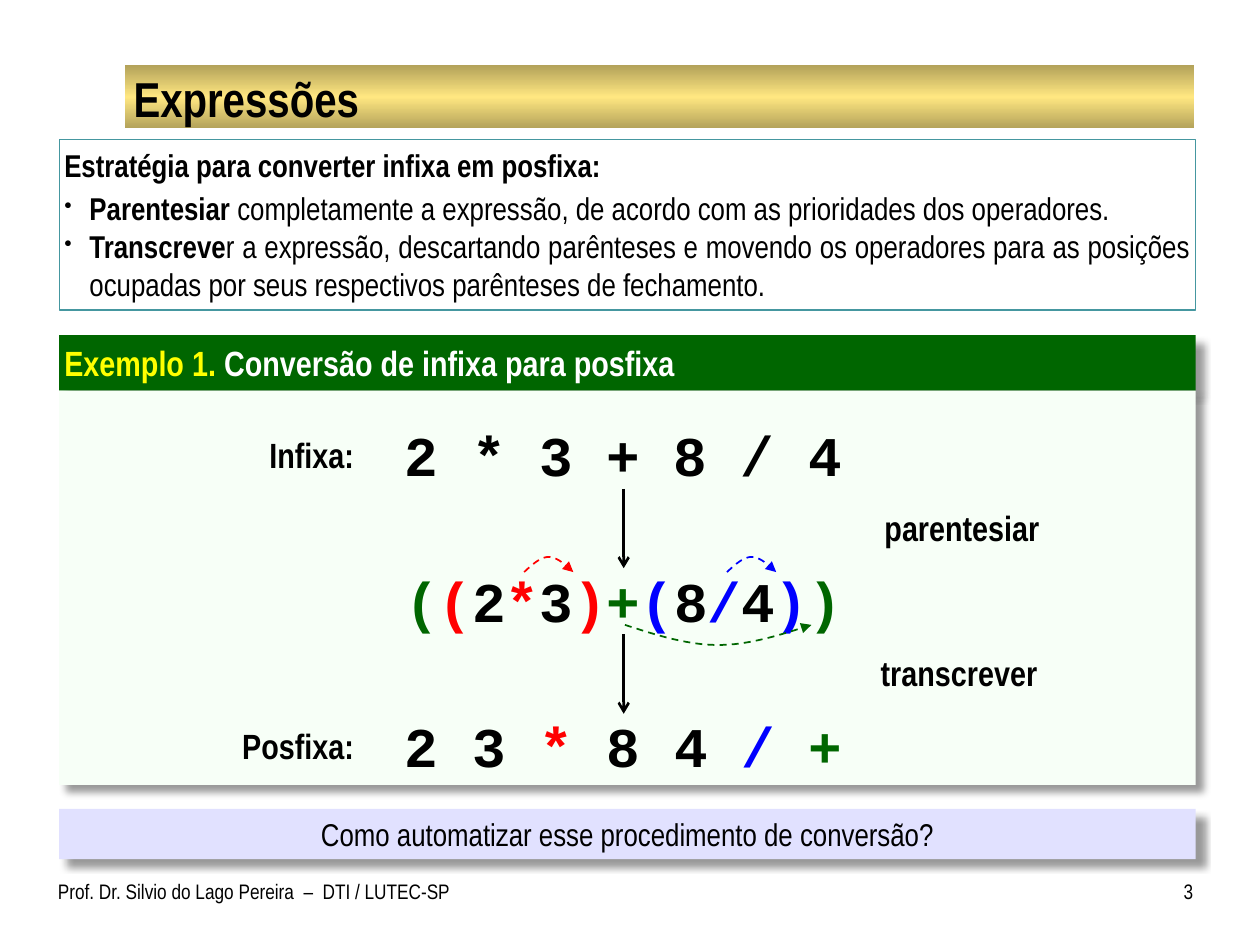
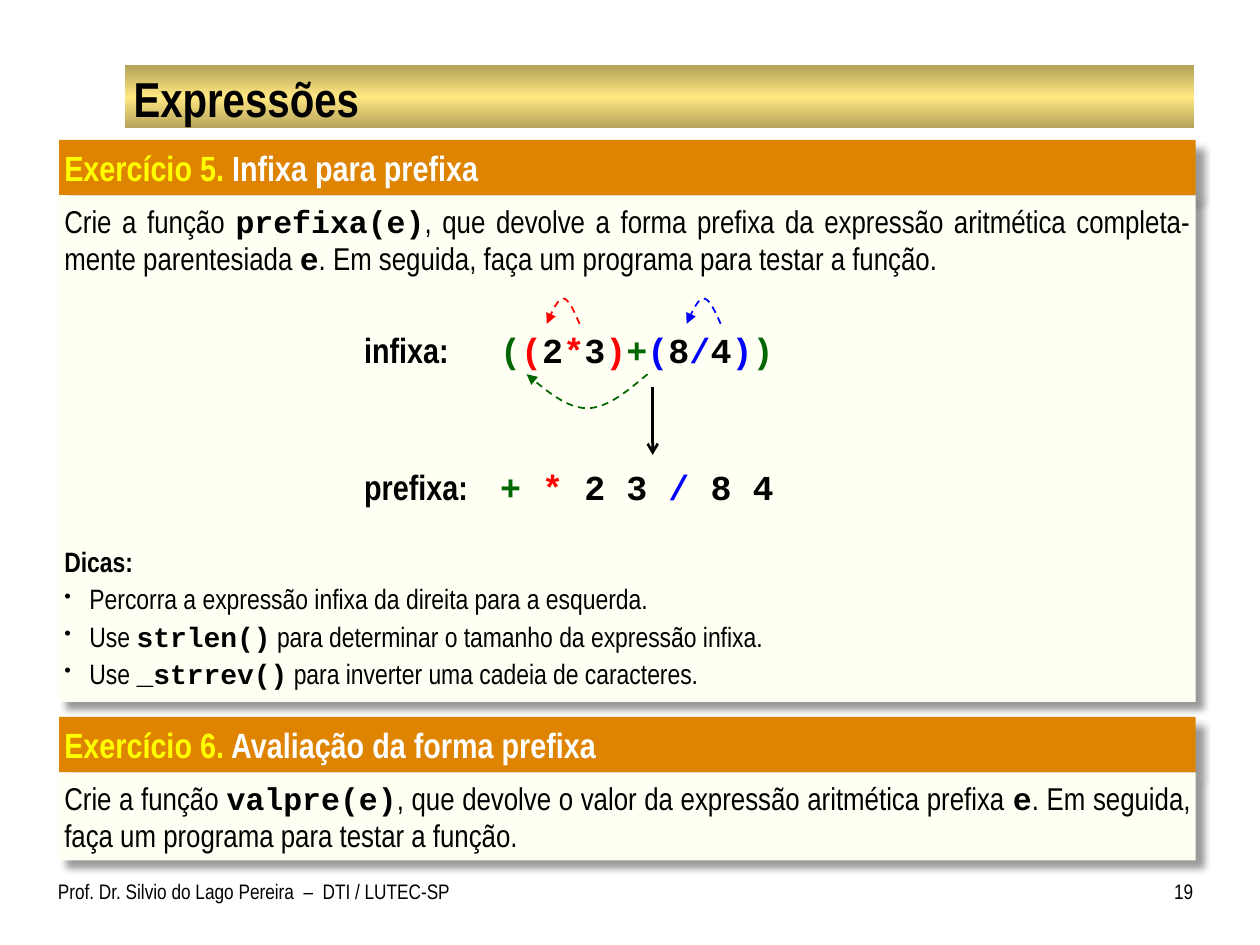
from dataclasses import dataclass
from typing import Any, Optional, Sequence

from lxml.etree import SubElement
from pptx import Presentation
from pptx.dml.color import RGBColor
from pptx.enum.dml import MSO_LINE
from pptx.enum.shapes import MSO_CONNECTOR, MSO_SHAPE
from pptx.enum.text import MSO_ANCHOR, MSO_AUTO_SIZE, PP_ALIGN
from pptx.oxml.ns import qn
from pptx.util import Inches, Pt

# Shared style
NARROW, MONO = "Arial Narrow", "Courier New"
BLACK, WHITE, YELLOW = "000000", "FFFFFF", "FFFF00"
RED, GREEN, BLUE = "FF0000", "006600", "0000FF"
ORANGE, CREAM, MINT, LILAC, TEAL = "DE8400", "FFFFF3", "F7FFF7", "E1E1FF", "4597A0"
GOLD_STOPS = ((0, "B3A25A"), (50, "FFE781"), (100, "B3A25A"))
LEFT, WIDTH, HEADER_HEIGHT = 0.47, 9.02, 0.44
PANEL_INSETS = (0.04, 0.05, 0.04, 0.05)
NO_INSETS = (0, 0, 0, 0)
FOOTER = "Prof. Dr. Silvio do Lago Pereira  –  DTI / LUTEC-SP"


@dataclass(frozen=True)
class Span:
    text: str
    color: str = BLACK
    bold: bool = False
    font: str = NARROW


@dataclass(frozen=True)
class Line:
    spans: Sequence[Span]
    size: float = 18
    align: PP_ALIGN = PP_ALIGN.LEFT
    before: float = 0
    bullet: bool = False


@dataclass(frozen=True)
class Box:
    left: float
    top: float
    width: float
    height: float

    def lengths(self) -> tuple:
        return tuple(Inches(value) for value in (self.left, self.top, self.width, self.height))


@dataclass(frozen=True)
class Arc:
    """A dashed move arrow; a negative rise bends it downwards."""
    start: float
    end: float
    base: float
    rise: float
    color: str


def apply(target: Any, values: dict) -> None:
    for name, value in values.items():
        setattr(target, name, value)


def rgb(color: str) -> RGBColor:
    return RGBColor.from_string(color)


def code(text: str, color: str = BLACK) -> Span:
    return Span(text, color, True, MONO)


def write(shape: Any, lines: Sequence[Line], insets: tuple = NO_INSETS,
          anchor: MSO_ANCHOR = MSO_ANCHOR.TOP) -> None:
    frame = shape.text_frame
    left, top, right, bottom = (Inches(inset) for inset in insets)
    apply(frame, {"word_wrap": True, "auto_size": MSO_AUTO_SIZE.NONE,
                  "vertical_anchor": anchor, "margin_left": left, "margin_top": top,
                  "margin_right": right, "margin_bottom": bottom})
    for index, line in enumerate(lines):
        paragraph = frame.add_paragraph() if index else frame.paragraphs[0]
        apply(paragraph, {"alignment": line.align, "space_before": Pt(line.before)})
        if line.bullet:
            properties = paragraph._p.get_or_add_pPr()
            properties.set("marL", str(Inches(0.2)))
            properties.set("indent", str(-Inches(0.2)))
            SubElement(properties, qn("a:buSzPct")).set("val", "70000")
            SubElement(properties, qn("a:buChar")).set("char", "•")
        for span in line.spans:
            run = paragraph.add_run()
            run.text = span.text
            apply(run.font, {"name": span.font, "size": Pt(line.size), "bold": span.bold})
            run.font.color.rgb = rgb(span.color)


def add_text(slide: Any, box: Box, line: Line, insets: tuple = NO_INSETS,
             anchor: MSO_ANCHOR = MSO_ANCHOR.MIDDLE) -> None:
    write(slide.shapes.add_textbox(*box.lengths()), [line], insets, anchor)


def add_rectangle(slide: Any, box: Box, fill: Optional[str] = None,
                  outline: Optional[str] = None, shadow: bool = False) -> Any:
    shape = slide.shapes.add_shape(MSO_SHAPE.RECTANGLE, *box.lengths())
    shape.shadow.inherit = False
    if fill:
        shape.fill.solid()
        shape.fill.fore_color.rgb = rgb(fill)
    else:
        shape.fill.background()
    if outline:
        shape.line.color.rgb = rgb(outline)
        shape.line.width = Pt(0.75)
    else:
        shape.line.fill.background()
    if shadow:
        effects = shape._element.spPr.find(qn("a:effectLst"))
        outer = SubElement(effects, qn("a:outerShdw"), blurRad=str(Pt(4)), dist=str(Pt(6)),
                           dir=str(45 * 60000), algn="tl", rotWithShape="0")
        tint = SubElement(outer, qn("a:srgbClr"), val=BLACK)
        SubElement(tint, qn("a:alpha"), val="40000")
    return shape


def add_panel(slide: Any, top: float, height: float, label: str, heading: str,
              header_fill: str, body_fill: str, lines: Sequence[Line] = ()) -> None:
    header = add_rectangle(slide, Box(LEFT, top, WIDTH, HEADER_HEIGHT), header_fill, shadow=True)
    write(header, [Line([Span(label, YELLOW, True), Span(" " + heading, WHITE, True)], 20)],
          PANEL_INSETS)
    body = add_rectangle(slide, Box(LEFT, top + HEADER_HEIGHT, WIDTH, height - HEADER_HEIGHT),
                         body_fill, shadow=True)
    write(body, lines, PANEL_INSETS)


def style_line(shape: Any, color: str, width: float, head: str) -> None:
    shape.line.color.rgb = rgb(color)
    shape.line.width = Pt(width)
    SubElement(shape.line._get_or_add_ln(), qn("a:tailEnd")).set("type", head)


def add_down_arrow(slide: Any, x: float, top: float, bottom: float) -> None:
    connector = slide.shapes.add_connector(
        MSO_CONNECTOR.STRAIGHT, Inches(x), Inches(top), Inches(x), Inches(bottom))
    style_line(connector, BLACK, 1.5, "arrow")
    SubElement(connector._element.spPr, qn("a:effectLst"))


def add_arc(slide: Any, arc: Arc, steps: int = 24) -> None:
    points = []
    for step in range(steps + 1):
        along = step / steps
        climb = 1 - abs(2 * along - 1)
        height = arc.rise * (1.5 * climb - 0.5 * climb ** 3)
        points.append((Inches(arc.start + (arc.end - arc.start) * along),
                       Inches(arc.base - height)))
    builder = slide.shapes.build_freeform(*points[0])
    builder.add_line_segments(points[1:], close=False)
    shape = builder.convert_to_shape()
    shape.shadow.inherit = False
    shape.fill.background()
    shape.line.dash_style = MSO_LINE.DASH
    style_line(shape, arc.color, 1, "triangle")


def add_slide(presentation: Any, number: int) -> Any:
    slide = presentation.slides.add_slide(presentation.slide_layouts[5])
    # Gold band behind the title
    band = add_rectangle(slide, Box(0.99, 0.52, 8.49, 0.5), GOLD_STOPS[0][1])
    band.fill.gradient()
    band.fill.gradient_angle = 270
    stops = band._element.spPr.find(qn("a:gradFill")).find(qn("a:gsLst"))
    for stop in list(stops):
        stops.remove(stop)
    for position, color in GOLD_STOPS:
        stop = SubElement(stops, qn("a:gs"), pos=str(position * 1000))
        SubElement(stop, qn("a:srgbClr"), val=color)
    slide.shapes._spTree.insert(2, band._element)
    # Title
    title = slide.shapes.title
    left, top, width, height = Box(1, 0.54, 8.47, 0.47).lengths()
    apply(title, {"left": left, "top": top, "width": width, "height": height})
    write(title, [Line([Span("Expressões", bold=True)], 28)], (0.06, 0.01, 0.06, 0.01),
          MSO_ANCHOR.MIDDLE)
    # Footer and slide number
    add_text(slide, Box(0.46, 6.92, 3.27, 0.42), Line([Span(FOOTER)], 12),
             (0, 0.05, 0.1, 0.05), MSO_ANCHOR.TOP)
    add_text(slide, Box(9.08, 6.92, 0.39, 0.42),
             Line([Span(str(number))], 12, PP_ALIGN.RIGHT), (0.1, 0.05, 0, 0.05), MSO_ANCHOR.TOP)
    return slide


# Expression whose operators share a colour with their parentheses
PARENTHESIZED = [code(*part) for part in (
    ("(", GREEN), ("(", RED), ("2",), ("*", RED), ("3",), (")", RED), ("+", GREEN),
    ("(", BLUE), ("8",), ("/", BLUE), ("4",), (")", BLUE), (")", GREEN))]
POSTFIX = [code("2 3 "), code("* ", RED), code("8 4 "), code("/ ", BLUE), code("+", GREEN)]
PREFIX = [code("+ ", GREEN), code("* ", RED), code("2 3 "), code("/ ", BLUE), code("8 4")]


def build_postfix_slide(presentation: Any) -> None:
    slide = add_slide(presentation, 3)
    # Strategy
    justify = PP_ALIGN.JUSTIFY
    strategy = add_rectangle(slide, Box(LEFT, 1.11, WIDTH, 1.35), outline=TEAL)
    write(strategy, [
        Line([Span("Estratégia para converter infixa em posfixa:", bold=True)], align=justify),
        Line([Span("Parentesiar", bold=True),
              Span(" completamente a expressão, de acordo com as prioridades dos operadores.")],
             align=justify, before=3, bullet=True),
        Line([Span("Transcreve", bold=True),
              Span("r a expressão, descartando parênteses e movendo os operadores para as "
                   "posições ocupadas por seus respectivos parênteses de fechamento.")],
             align=justify, bullet=True),
    ], PANEL_INSETS)
    # Worked example
    add_panel(slide, 2.66, 3.57, "Exemplo 1.", "Conversão de infixa para posfixa", GREEN, MINT)
    first_row, row_step = 3.41, 1.155
    rows = (("Infixa:", [code("2 * 3 + 8 / 4")]), ("", PARENTHESIZED), ("Posfixa:", POSTFIX))
    for index, (label, expression) in enumerate(rows):
        top = first_row + index * row_step
        add_text(slide, Box(3.18, top, 3.54, 0.39), Line(expression, 32, PP_ALIGN.CENTER))
        if label:
            add_text(slide, Box(1.83, top, 0.98, 0.39),
                     Line([Span(label, bold=True)], 20, PP_ALIGN.RIGHT))
    for index, (action, left) in enumerate((("parentesiar", 7.02), ("transcrever", 6.99))):
        top = first_row + index * row_step
        add_down_arrow(slide, 4.95, top + 0.47, top + 1.1)
        add_text(slide, Box(left, top + 0.58, 1.57, 0.39), Line([Span(action, bold=True)], 20))
    for arc in (Arc(5.77, 6.16, 4.54, 0.12, BLUE), Arc(4.96, 6.44, 4.96, -0.16, GREEN),
                Arc(4.16, 4.55, 4.54, 0.12, RED)):
        add_arc(slide, arc)
    # Closing question
    question = add_rectangle(slide, Box(LEFT, 6.42, WIDTH, 0.4), LILAC, shadow=True)
    write(question, [Line([Span("Como automatizar esse procedimento de conversão?")],
                          align=PP_ALIGN.CENTER)], PANEL_INSETS)


def build_prefix_slide(presentation: Any) -> None:
    slide = add_slide(presentation, 19)
    justify = PP_ALIGN.JUSTIFY
    closing = ". Em seguida, faça um programa para testar a função."
    # Conversion exercise, with room for the diagram above the hints
    hints = (
        [Span("Percorra a expressão infixa da direita para a esquerda.")],
        [Span("Use "), code("strlen()"),
         Span(" para determinar o tamanho da expressão infixa.")],
        [Span("Use "), code("_strrev()"), Span(" para inverter uma cadeia de caracteres.")],
    )
    add_panel(slide, 1.11, 4.46, "Exercício 5.", "Infixa para prefixa", ORANGE, CREAM, [
        Line([Span("Crie a função "), code("prefixa(e)"),
              Span(", que devolve a forma prefixa da expressão aritmética "
                   "completa-mente parentesiada "), code("e"), Span(closing)], align=justify),
        Line([Span("Dicas:", bold=True)], 16, justify, before=153),
        *(Line(hint, 16, justify, before=2, bullet=True) for hint in hints),
    ])
    # Diagram
    for label, expression, top in (("infixa:", PARENTHESIZED, 2.57), ("prefixa:", PREFIX, 3.66)):
        add_text(slide, Box(2.89, top, 0.96, 0.4), Line([Span(label, bold=True)], 20))
        add_text(slide, Box(3.97, top, 2.56, 0.4), Line(expression, 20))
    add_down_arrow(slide, 5.18, 3.07, 3.61)
    for arc in (Arc(5.72, 5.45, 2.57, 0.2, BLUE), Arc(5.14, 4.18, 2.97, -0.27, GREEN),
                Arc(4.6, 4.34, 2.57, 0.2, RED)):
        add_arc(slide, arc)
    # Evaluation exercise
    add_panel(slide, 5.69, 1.14, "Exercício 6.", "Avaliação da forma prefixa", ORANGE, CREAM, [
        Line([Span("Crie a função "), code("valpre(e)"),
              Span(", que devolve o valor da expressão aritmética prefixa "), code("e"),
              Span(closing)], align=justify),
    ])


presentation = Presentation()
apply(presentation, {"slide_width": Inches(10), "slide_height": Inches(7.5)})
build_postfix_slide(presentation)
build_prefix_slide(presentation)
presentation.save("out.pptx")
